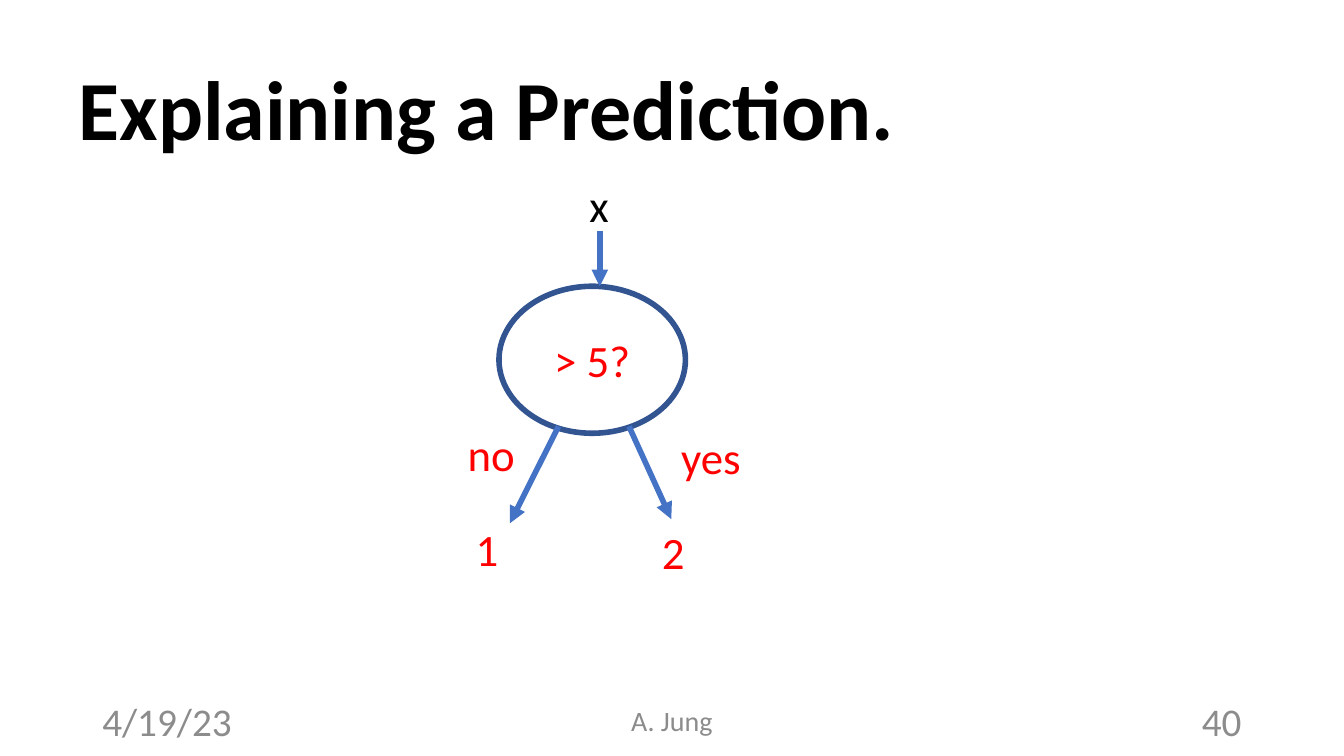
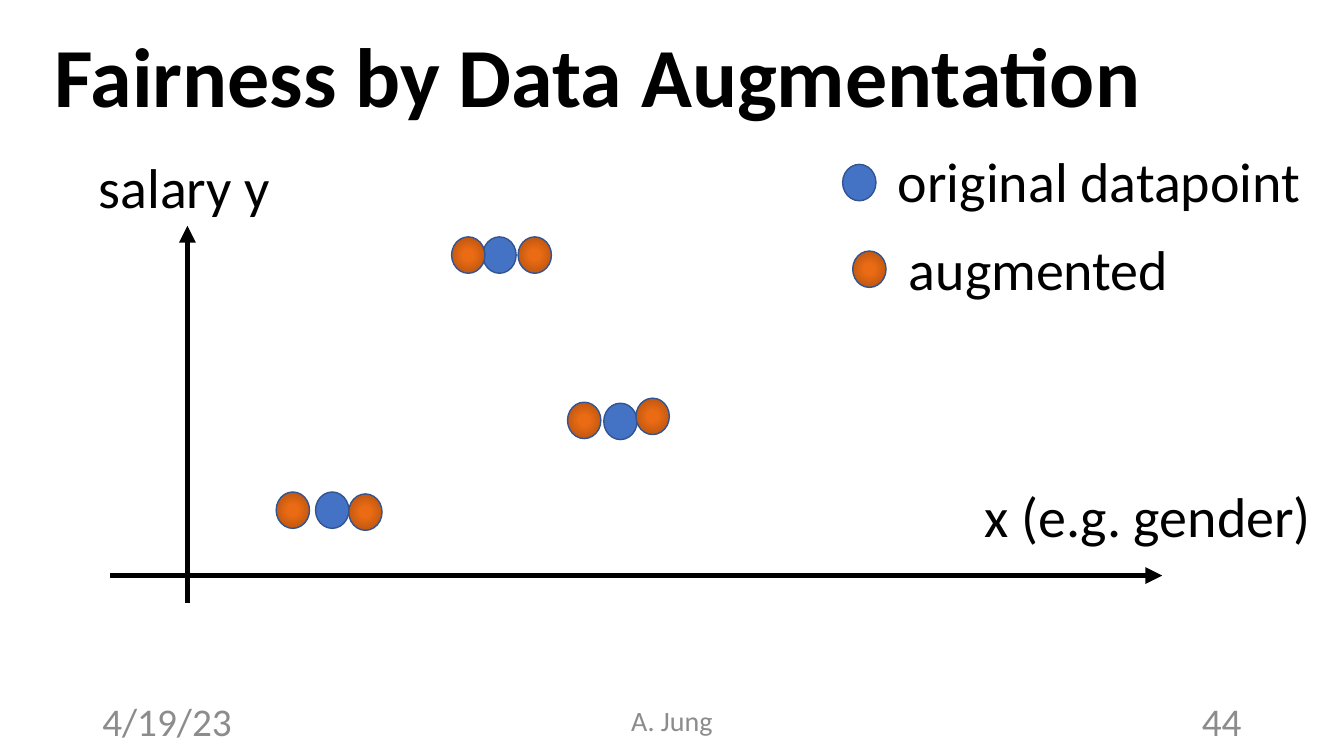
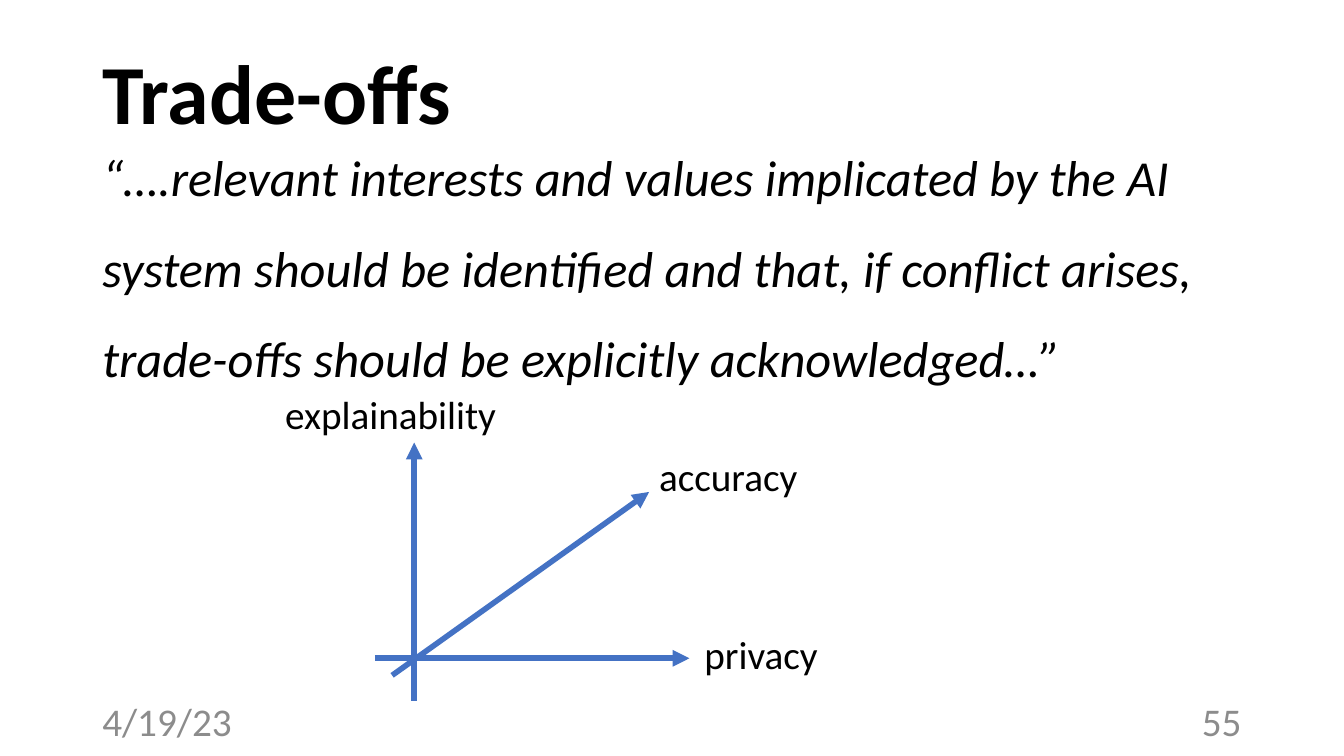
from typing import NamedTuple

from lxml import etree
from pptx import Presentation
from pptx.dml.color import RGBColor
from pptx.enum.shapes import MSO_CONNECTOR, MSO_SHAPE
from pptx.enum.text import MSO_ANCHOR, MSO_AUTO_SIZE, PP_ALIGN
from pptx.oxml.ns import qn
from pptx.util import Pt

LEFT, MID, RIGHT = PP_ALIGN.LEFT, PP_ALIGN.CENTER, PP_ALIGN.RIGHT
TOP, CORE = MSO_ANCHOR.TOP, MSO_ANCHOR.MIDDLE
FIT, FIXED = MSO_AUTO_SIZE.SHAPE_TO_FIT_TEXT, MSO_AUTO_SIZE.NONE
OVAL, LINE = MSO_SHAPE.OVAL, MSO_CONNECTOR.STRAIGHT

# Shared style
FONT = "Calibri"
BLACK = RGBColor(0x00, 0x00, 0x00)
WHITE = RGBColor(0xFF, 0xFF, 0xFF)
GREY = RGBColor(0x8C, 0x8C, 0x8C)
RED = RGBColor(0xFF, 0x00, 0x00)
BLUE = RGBColor(0x44, 0x72, 0xC4)
NAVY = RGBColor(0x32, 0x54, 0x91)
BRIGHT = RGBColor(0xEA, 0x6B, 0x14)
RUST = RGBColor(0xC5, 0x5A, 0x11)
DARK = RGBColor(0xB8, 0x54, 0x10)
GLOW = ((0, BRIGHT), (23, BRIGHT), (69, RUST), (97, DARK))
DOT_W, DOT_H = 23.8, 26
FOOT_Y, FOOT_H = 500.4, 28.8


class Box(NamedTuple):
    x: float
    y: float
    w: float
    h: float


class Label(NamedTuple):
    text: str
    box: Box


class Arrow(NamedTuple):
    x1: float
    y1: float
    x2: float
    y2: float


class Spot(NamedTuple):
    x: float
    y: float


def points(box) -> list:
    return [Pt(side) for side in box]


def write(frame, text: str, *, size: float, color=BLACK, bold=False,
          slant=False, align=LEFT, anchor=TOP, wrap=True, auto=FIXED,
          lead=1.0, before=0) -> None:
    """Fill a text frame with one formatted paragraph."""
    frame.word_wrap = wrap
    frame.auto_size = auto
    frame.vertical_anchor = anchor
    para = frame.paragraphs[0]
    para.alignment = align
    para.line_spacing = lead
    para.space_before = Pt(before)
    run = para.add_run()
    run.text = text
    font = run.font
    font.name, font.size = FONT, Pt(size)
    font.bold, font.italic = bold, slant
    font.color.rgb = color


def add_text(slide, text: str, box: Box, **style) -> None:
    write(slide.shapes.add_textbox(*points(box)).text_frame, text, **style)


def add_labels(slide, labels, **style) -> None:
    for label in labels:
        add_text(slide, label.text, label.box, wrap=False, auto=FIT, **style)


def add_arrows(slide, arrows, color: RGBColor) -> None:
    for arrow in arrows:
        link = slide.shapes.add_connector(LINE, *points(arrow))
        link.line.color.rgb = color
        link.line.width = Pt(4)
        props = link.element.spPr
        etree.SubElement(props.find(qn("a:ln")), qn("a:tailEnd"), type="triangle")
        etree.SubElement(props, qn("a:effectLst"))


def add_oval(slide, box: Box, fill: RGBColor, width: float):
    oval = slide.shapes.add_shape(OVAL, *points(box))
    oval.shadow.inherit = False
    oval.fill.solid()
    oval.fill.fore_color.rgb = fill
    oval.line.color.rgb = NAVY
    oval.line.width = Pt(width)
    return oval


def set_glow(shape) -> None:
    """Swap the solid fill for a round gradient."""
    grad = etree.Element(qn("a:gradFill"), rotWithShape="1")
    stops = etree.SubElement(grad, qn("a:gsLst"))
    for place, color in GLOW:
        stop = etree.SubElement(stops, qn("a:gs"), pos=str(place * 1000))
        etree.SubElement(stop, qn("a:srgbClr"), val=str(color))
    trail = etree.SubElement(grad, qn("a:path"), path="circle")
    etree.SubElement(trail, qn("a:fillToRect"),
                     {side: "50000" for side in "ltrb"})
    props = shape.element.spPr
    props.replace(props.find(qn("a:solidFill")), grad)


def add_dots(slide, spots, glow: bool) -> None:
    for spot in spots:
        dot = add_oval(slide, Box(spot.x, spot.y, DOT_W, DOT_H), BLUE, 1)
        if glow:
            set_glow(dot)


def add_slide(deck, title: str, box: Box, page: str, author="A. Jung"):
    """Start a slide with its title and footer."""
    slide = deck.slides.add_slide(deck.slide_layouts[5])
    head = slide.shapes.title
    head.left, head.top, head.width, head.height = points(box)
    write(head.text_frame, title, size=60, bold=True, anchor=CORE, lead=0.9)
    feet = (("4/19/23", 66, 216, 28, LEFT), (author, 318, 324, 20, MID),
            (page, 678, 216, 28, RIGHT))
    for text, x, width, size, align in feet:
        if text:
            add_text(slide, text, Box(x, FOOT_Y, width, FOOT_H), size=size,
                     color=GREY, align=align, anchor=CORE)
    return slide


def draw_tree(deck) -> None:
    slide = add_slide(deck, "Explaining a Prediction.",
                      Box(49, 29, 828, 104), "40")
    # Decision node and its branches
    node = add_oval(slide, Box(356.4, 204.5, 133.2, 105), WHITE, 4)
    write(node.text_frame, "> 5?", size=32, color=RED, align=MID, anchor=CORE)
    add_arrows(slide, (Arrow(428.4, 165, 428.4, 204.5),
                       Arrow(449.3, 304.6, 479.5, 370.8),
                       Arrow(398.9, 304.6, 364.3, 373.7)), BLUE)
    # Input, answers and results
    add_labels(slide, (Label("x", Box(414, 123.1, 28.8, 46)),), size=32)
    add_labels(slide, (Label("yes", Box(479.5, 303.1, 57.6, 46)),
                       Label("no", Box(326.9, 301, 49, 46)),
                       Label("2", Box(465.8, 371.5, 31, 46)),
                       Label("1", Box(332.6, 369.4, 31, 46))),
               size=32, color=RED)


def draw_plot(deck) -> None:
    slide = add_slide(deck, "Fairness by Data Augmentation",
                      Box(31.7, 11.5, 892, 92.2), "44")
    # Axes
    add_arrows(slide, (Arrow(78.5, 411.1, 830.2, 411.1),
                       Arrow(133.9, 430.6, 133.9, 161.3)), BLACK)
    # Data points, each with two new ones beside it, and the legend
    add_dots(slide, (Spot(225.4, 351.4), Spot(344.9, 169.2),
                     Spot(431.3, 288), Spot(601.9, 117.4)), False)
    add_dots(slide, (Spot(197.3, 351.4), Spot(249.1, 352.8),
                     Spot(322.6, 169.2), Spot(370.1, 169.2),
                     Spot(405.4, 287.3), Spot(454.3, 284.4),
                     Spot(609.1, 179.3)), True)
    add_labels(slide, (Label("x (e.g. gender)", Box(696.2, 340.6, 249.8, 55.4)),
                       Label("salary y", Box(63.4, 105.1, 147.6, 55.4)),
                       Label("original datapoint", Box(634.3, 100.8, 304.6, 55.4)),
                       Label("augmented", Box(642.2, 164.2, 201.6, 55.4))),
               size=40)


def draw_trade(deck) -> None:
    slide = add_slide(deck, "Trade-offs", Box(66, 17.3, 265.7, 104.4),
                      "55", author="")
    # Quote
    add_text(slide, "“….relevant interests and values implicated by the AI "
             "system should be identified and that, if conflict arises, "
             "trade-offs should be explicitly acknowledged…”",
             Box(66, 79.2, 853.2, 199.4), size=36, slant=True,
             lead=1.5, before=10)
    # Three goals as axes
    add_arrows(slide, (Arrow(267.8, 470.2, 492.5, 470.2),
                       Arrow(280.1, 482.4, 463.7, 351.4),
                       Arrow(295.9, 500.4, 295.9, 316.1)), BLUE)
    add_labels(slide, (Label("privacy", Box(496.1, 446.4, 96.5, 41)),
                       Label("explainability", Box(196.6, 275, 166.3, 41)),
                       Label("accuracy", Box(463.7, 319.7, 114.5, 41))),
               size=28)


def main() -> None:
    deck = Presentation()
    deck.slide_width, deck.slide_height = Pt(960), Pt(540)
    draw_tree(deck)
    draw_plot(deck)
    draw_trade(deck)
    deck.save("out.pptx")


if __name__ == "__main__":
    main()
